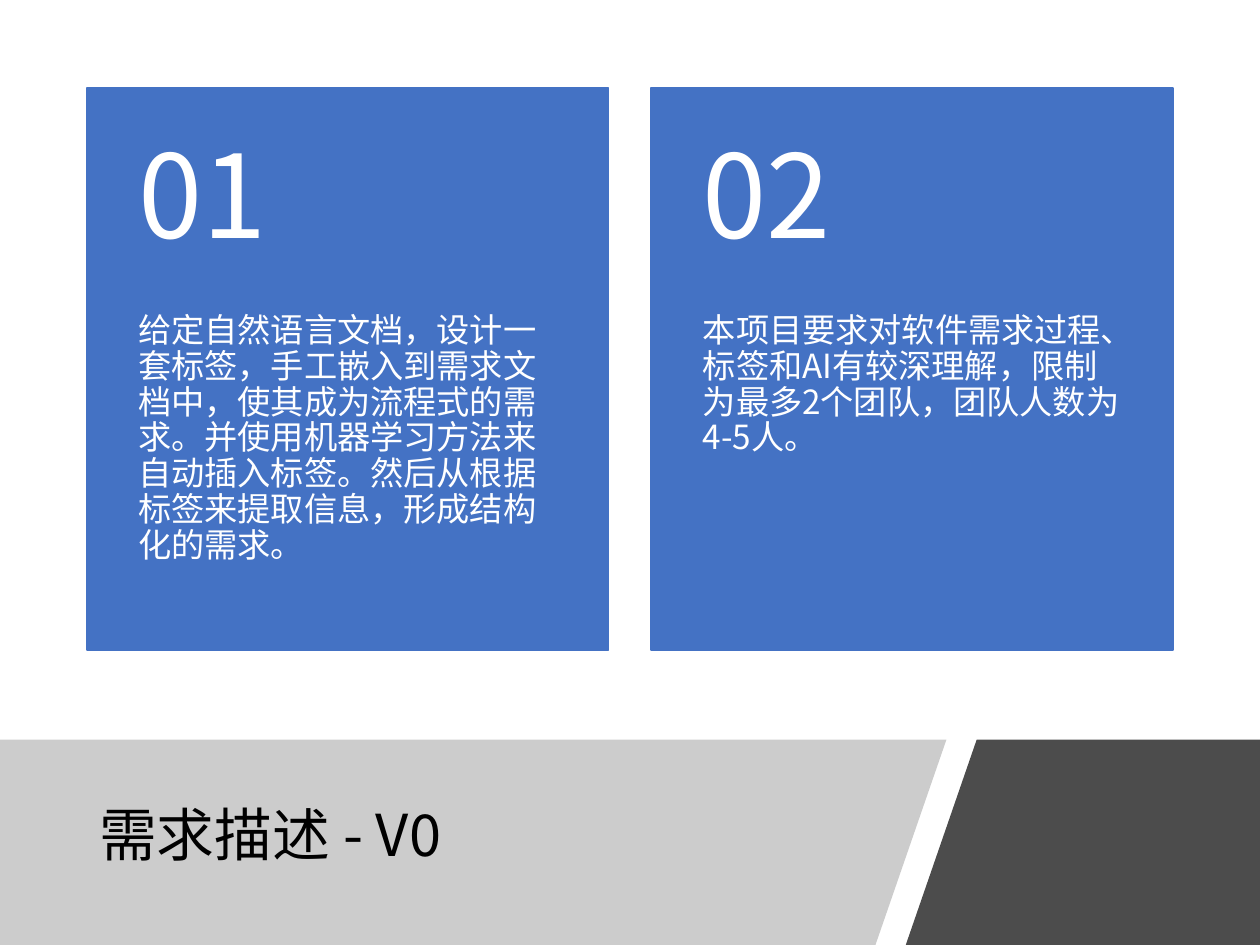
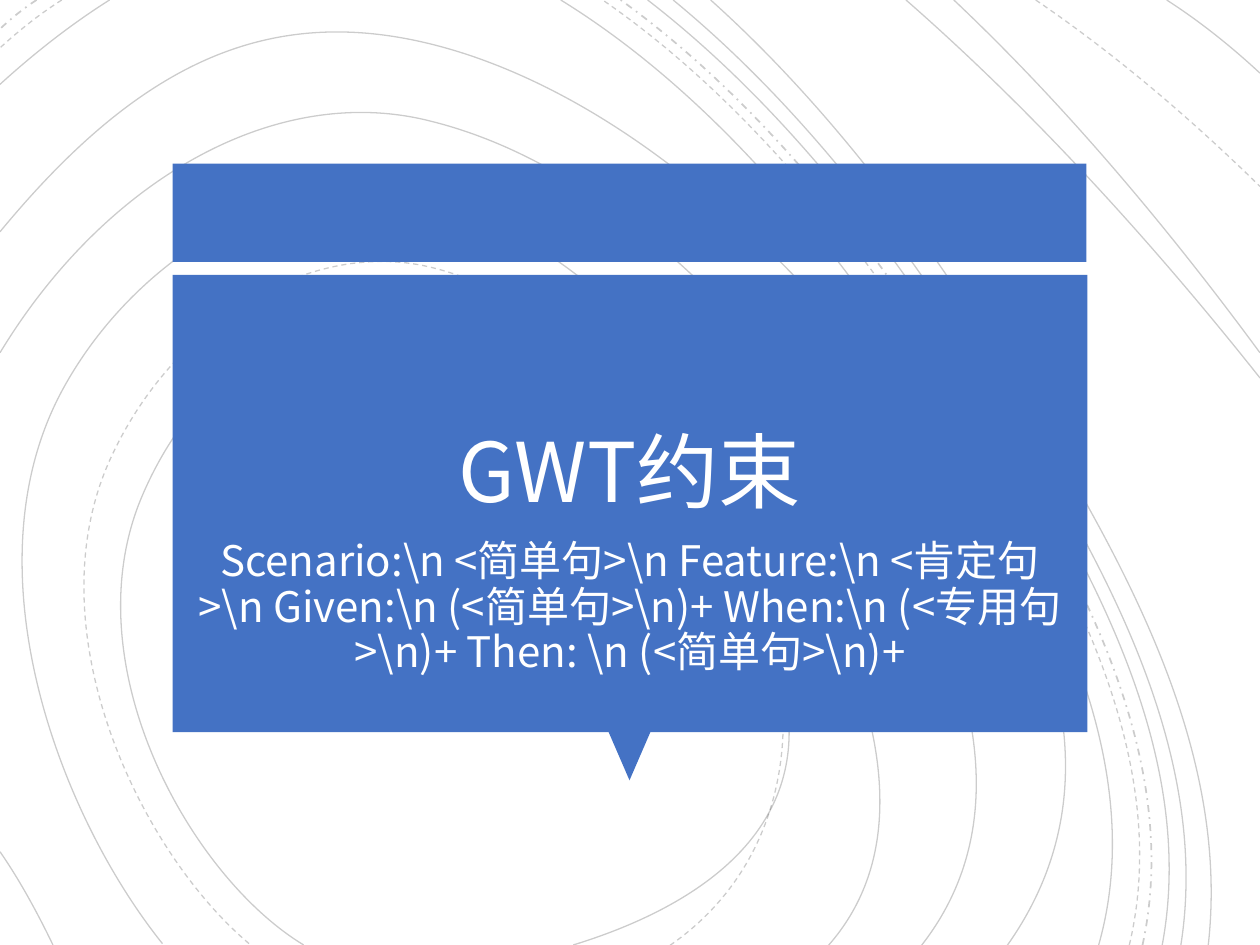
from lxml import etree
from pptx import Presentation
from pptx import util as u
from pptx.dml.color import RGBColor as Rgb
from pptx.enum import dml, shapes, text
from pptx.oxml.ns import qn

Cm, Pt = u.Cm, u.Pt
FONT = "Noto Sans CJK SC"
INK = {"blue": "4472C4", "white": "FFFFFF", "black": "000000", "gray": "808080"}
UNIT = 2.54  # grid of the curves, in cm
DASH = dml.MSO_LINE.DASH
DOT = dml.MSO_LINE.DASH_DOT
MID = text.MSO_ANCHOR.MIDDLE
LOW = text.MSO_ANCHOR.BOTTOM
LEFT = text.PP_ALIGN.LEFT
CENTER = text.PP_ALIGN.CENTER

deck = Presentation()
deck.slide_width, deck.slide_height = Cm(25.4), Cm(19.05)
needs, rules = [deck.slides.add_slide(deck.slide_layouts[6]) for _ in range(2)]


def write(page, words, box, size, ink="white", pad=(0.25, 0.13, 0.25, 0.13),
          anchor=text.MSO_ANCHOR.TOP, align=LEFT, before=0):
    frame = page.shapes.add_textbox(*map(Cm, box)).text_frame
    frame.word_wrap = True
    frame.vertical_anchor = anchor
    (frame.margin_left, frame.margin_top,
     frame.margin_right, frame.margin_bottom) = map(Cm, pad)
    para = frame.paragraphs[0]
    para.text = words
    para.alignment, para.line_spacing, para.space_before = align, 0.9, Pt(before)
    font = para.font
    font.name, font.size = FONT, Pt(size)
    font.color.rgb = Rgb.from_string(INK[ink])
    props = para._p.pPr.find(qn("a:defRPr"))
    etree.SubElement(props, qn("a:ea")).set("typeface", FONT)


def draw(page, points, ink, alpha, width=None, dash=None):
    """Filled outline, or an open stroke when a width is given."""
    spots = [(Cm(x), Cm(y)) for x, y in points]
    pen = page.shapes.build_freeform(*spots[0], scale=1.0)
    pen.add_line_segments(spots[1:], close=width is None)
    shape = pen.convert_to_shape()
    shape.shadow.inherit = False
    paint, blank = shape.fill, shape.line.fill
    if width:
        paint, blank = blank, paint
    blank.background()
    paint.solid()
    paint.fore_color.rgb = Rgb.from_string(INK[ink])
    if width:
        shape.line.width = Pt(width)
        shape.line.dash_style = dash
    tint = next(shape._element.spPr.iter(qn("a:srgbClr")))
    etree.SubElement(tint, qn("a:alpha")).set("val", str(alpha * 1000))
    return shape


# Slanted bands under the cards
top, foot = 14.91, 19.05
draw(needs, [(0, top), (19.08, top), (17.65, foot), (0, foot)], "gray", 40)
draw(needs, [(19.69, top), (25.4, top), (25.4, foot), (18.26, foot)], "black", 70)

# Guide curves: a start, then three points per Bezier
core = [(4.55, 7.5), (5.33, 7.26), (6.6, 6.67), (6.18, 5.29), (5.8, 3.99),
        (4.61, 2.78), (3.6, 2.48), (2.68, 2.2), (1.62, 2.81), (1.14, 3.91),
        (0.55, 5.24), (1.5, 6.95), (2.41, 7.5)]
ring = [(6.57, 7.51), (7.69, 6.25), (6.26, 4.09), (5.54, 3.15), (4.87, 2.3),
        (4.02, 1.64), (3.09, 1.53), (2.15, 1.41), (1.06, 2.08), (0.51, 3.07),
        (-0.27, 4.47), (0.45, 6.44), (1.29, 7.49)]
arch = [(7.99, 7.51), (9.1, 5.95), (8, 4.22), (7.08, 3.07), (6.13, 1.89),
        (5, 0.87), (3.73, 0.44), (2.23, -0.06), (1.14, 0.46), (0, 1.84)]
near = [(8.72, 7.5), (9.2, 5.81), (7.98, 4.01), (7.22, 2.87),
        (6.44, 1.7), (5.52, 0.66), (4.45, 0)]
far = [(9.59, 7.5), (9.77, 5.9), (8.86, 4.38), (8.17, 3.22),
       (7.45, 2), (6.61, 0.87), (5.64, 0)]

# Each family blends from one guide to the next
families = [
    (core, ring, [(0, None), (0.38, DASH), (1, None)]),
    (ring, arch, [(0.52, None), (1, None)]),
    (near, far, [(0, None), (0.28, DASH), (0.4, DOT),
                 (0.58, None), (0.75, None), (1, None)]),
]
curves = []
for start, end, steps in families:
    for t, dash in steps:
        curves.append((dash, [(a + (c - a) * t, b + (d - b) * t)
                              for (a, b), (c, d) in zip(start, end)]))
curves[3][1][-2:] = [(0.83, 1.43), (0, 2.8)]  # runs out at the left edge

# Short arcs across the corners: two ends, lifted a little between them
arcs = [(7.19, 0, 10, 3, None), (7.57, 0, 10, 2.8, None),
        (8.22, 0, 10, 1.48, DASH), (9.26, 0, 10, 0.58, None),
        (0.87, 0, 0, 0.67, None), (0.49, 0, 0, 0.38, DASH),
        (0.29, 0, 0, 0.23, DOT), (0, 6.76, 0.42, 7.5, None)]
for a, b, c, d, dash in arcs:
    curves.append((dash, [(a + (c - a) * k / 3,
                           b + (d - b) * (k / 3 - 0.06 * (k in (1, 2))))
                          for k in range(4)]))

for dash, points in curves:
    grid = [(x * UNIT, y * UNIT) for x, y in points]
    shape = draw(rules, grid, "black", 20, 1 if dash == DOT else 0.75, dash)
    # Turn every three straight segments into one Bezier segment
    route = next(shape._element.iter(qn("a:path")))
    lines = route.findall(qn("a:lnTo"))
    for i in range(0, len(lines), 3):
        bend = etree.SubElement(route, qn("a:cubicBezTo"))
        for line in lines[i:i + 3]:
            bend.append(line[0])
            route.remove(line)

# Blue panels: two cards, then a header, a pointer and a main panel
RECT = shapes.MSO_SHAPE.RECTANGLE
TIP = shapes.MSO_SHAPE.ISOSCELES_TRIANGLE
lefts = [1.75 + 11.38 * i for i in range(2)]
panels = [(needs, RECT, (x, 1.78, 10.52, 11.33), 0) for x in lefts] + [
    (rules, RECT, (3.48, 3.3, 18.42, 1.98), 0),
    (rules, TIP, (12.27, 14.76, 0.84, 0.97), 180),
    (rules, RECT, (3.48, 5.54, 18.44, 9.22), 0),
]
for page, kind, box, turn in panels:
    panel = page.shapes.add_shape(kind, *map(Cm, box))
    panel.shadow.inherit = False
    panel.rotation = turn
    panel.fill.solid()
    panel.fill.fore_color.rgb = Rgb.from_string(INK["blue"])
    if page is needs:
        panel.line.color.rgb = Rgb.from_string(INK["blue"])
        panel.line.width = Pt(1)
    else:
        panel.line.fill.background()

# Card texts
notes = [
    "给定自然语言文档，设计一套标签，手工嵌入到需求文档中，使其成为流程式的需求。"
    "并使用机器学习方法来自动插入标签。然后从根据标签来提取信息，形成结构化的需求。",
    "本项目要求对软件需求过程、标签和AI有较深理解，限制为最多2个团队，团队人数为4-5人。",
]
for i, (x, note) in enumerate(zip(lefts, notes), 1):
    write(needs, note, (x, 6.32, 10.52, 6.81), 19, pad=(1.04, 0, 1.04, 0.91))
    write(needs, f"{i:02}", (x, 1.78, 10.52, 4.55), 66,
          pad=(1.04, 0.46, 1.04, 0.46), anchor=MID)

# Titles and the rule text
write(needs, "需求描述 - V0", (1.75, 15.37, 16.08, 3.05), 33, "black", anchor=MID)
write(rules, "GWT约束", (3.66, 5.77, 18.08, 4.85), 47, anchor=LOW, align=CENTER)
write(rules, r"Scenario:\n <简单句>\n Feature:\n <肯定句>\n Given:\n (<简单句>\n)+ "
      r"When:\n (<专用句>\n)+ Then: \n (<简单句>\n)+",
      (3.66, 10.77, 18.08, 3.43), 24, align=CENTER, before=10)

deck.save("out.pptx")
